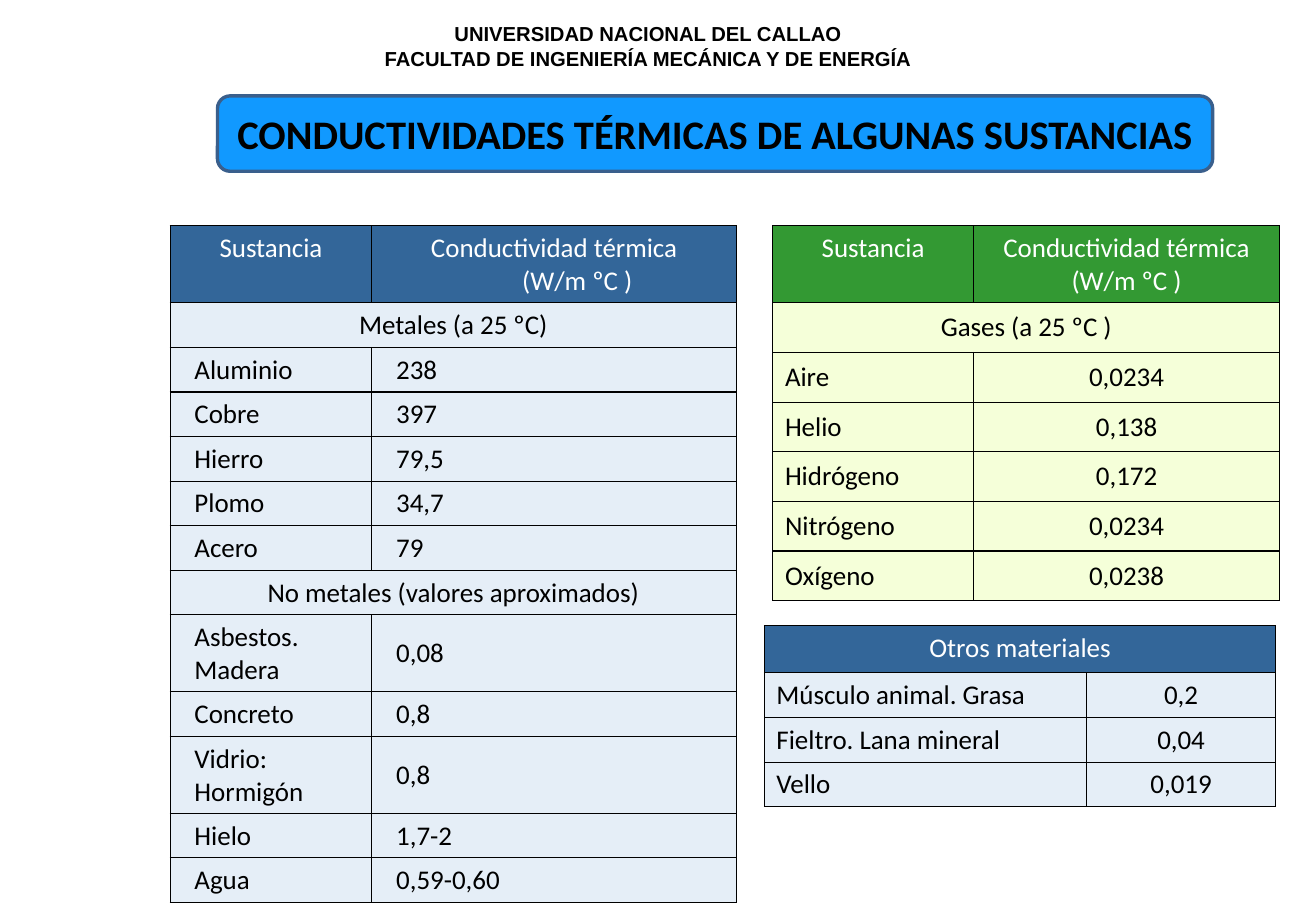
from dataclasses import dataclass

from lxml.etree import SubElement
from pptx import Presentation
from pptx.dml.color import RGBColor
from pptx.enum.shapes import MSO_SHAPE as Shape
from pptx.enum.text import MSO_ANCHOR as Anchor, PP_ALIGN as Align
from pptx.oxml.ns import qn
from pptx.util import Inches, Pt

WIDTH, HEIGHT = Inches(10.83), Inches(7.5)
BLACK = RGBColor(0x00, 0x00, 0x00)
WHITE = RGBColor(0xFF, 0xFF, 0xFF)
BANNER_BLUE = RGBColor(0x11, 0x99, 0xFF)
BANNER_EDGE = RGBColor(0x3A, 0x5F, 0x8C)
BLUE = RGBColor(0x33, 0x66, 0x99)
PALE_BLUE = RGBColor(0xE5, 0xEE, 0xF7)
GREEN = RGBColor(0x33, 0x99, 0x33)
PALE_GREEN = RGBColor(0xF5, 0xFF, 0xD9)

SOLIDS = [
    ("Sustancia", "Conductividad térmica (W/m ºC )"),
    ("Metales (a 25 ºC)",),
    ("Aluminio", "238"),
    ("Cobre", "397"),
    ("Hierro", "79,5"),
    ("Plomo", "34,7"),
    ("Acero", "79"),
    ("No metales (valores aproximados)",),
    ("Asbestos.\nMadera", "0,08"),
    ("Concreto", "0,8"),
    ("Vidrio:\nHormigón", "0,8"),
    ("Hielo", "1,7-2"),
    ("Agua", "0,59-0,60"),
]
GASES = [
    ("Sustancia", "Conductividad térmica\n(W/m ºC )"),
    ("Gases (a 25 ºC )",),
    ("Aire", "0,0234"),
    ("Helio", "0,138"),
    ("Hidrógeno", "0,172"),
    ("Nitrógeno", "0,0234"),
    ("Oxígeno", "0,0238"),
]
OTHERS = [
    ("Otros materiales",),
    ("Músculo animal. Grasa", "0,2"),
    ("Fieltro. Lana mineral", "0,04"),
    ("Vello", "0,019"),
]


@dataclass
class TableStyle:
    """Colours, row heights and text layout of one conductivity table."""
    header_fill: RGBColor
    body_fill: RGBColor
    header_height: float
    row_height: float
    value_align: Align = Align.CENTER
    side_margin: float = 0.92
    hanging: float = 0


def across(percent):
    """Return a percentage of the slide width."""
    return round(WIDTH * percent / 100)


def down(percent):
    """Return a percentage of the slide height."""
    return round(HEIGHT * percent / 100)


def write_text(frame, text, size, color, font="Calibri", bold=False, align=Align.CENTER, hanging=0):
    """Write each line of the text as a paragraph with one run."""
    for index, line in enumerate(text.split("\n")):
        paragraph = frame.add_paragraph() if index else frame.paragraphs[0]
        paragraph.alignment = align
        if hanging:
            properties = paragraph._p.get_or_add_pPr()
            properties.set("marL", str(across(hanging)))
            properties.set("indent", str(-across(hanging)))
        run = paragraph.add_run()
        run.text = line
        run.font.name, run.font.size, run.font.bold = font, Pt(size), bold
        run.font.color.rgb = color


def add_heading(slide, text):
    """Add the university and faculty heading."""
    box = slide.shapes.add_textbox(across(18.74), down(1.73), across(61.03), down(6.67))
    box.text_frame.word_wrap = True
    write_text(box.text_frame, text, 12, BLACK, font="Arial", bold=True)


def add_banner(slide, text):
    """Add the rounded title banner."""
    banner = slide.shapes.add_shape(
        Shape.ROUNDED_RECTANGLE, across(16.53), down(10.53), across(75.62), down(8.27))
    banner.shadow.inherit = False
    banner.fill.solid()
    banner.fill.fore_color.rgb = BANNER_BLUE
    banner.line.color.rgb = BANNER_EDGE
    banner.line.width = Pt(2)
    banner.text_frame.vertical_anchor = Anchor.MIDDLE
    write_text(banner.text_frame, text, 24, BLACK, bold=True)


def paint_cell(cell, fill):
    """Give a cell thin black borders and a solid fill."""
    properties = cell._tc.get_or_add_tcPr()
    for side in ("a:lnL", "a:lnR", "a:lnT", "a:lnB"):
        border = SubElement(properties, qn(side), w=str(Pt(0.75)))
        SubElement(SubElement(border, qn("a:solidFill")), qn("a:srgbClr"), val=str(BLACK))
    cell.fill.solid()
    cell.fill.fore_color.rgb = fill


def add_conductivity_table(slide, left, top, columns, rows, style):
    """Add a table in which a row with a single text spans both columns."""
    heights = [style.header_height if index == 0 or "\n" in row[0] else style.row_height
               for index, row in enumerate(rows)]
    table = slide.shapes.add_table(
        len(rows), len(columns), across(left), down(top),
        across(sum(columns)), down(sum(heights))).table
    table.first_row = table.horz_banding = False
    for column, width in zip(table.columns, columns):
        column.width = across(width)
    for index, (row, height) in enumerate(zip(rows, heights)):
        table.rows[index].height = down(height)
        header, spans = index == 0, len(row) == 1
        for cell in table.rows[index].cells:
            paint_cell(cell, style.header_fill if header else style.body_fill)
        if spans:
            table.cell(index, 0).merge(table.cell(index, 1))
        for position, text in enumerate(row):
            cell = table.cell(index, position)
            cell.margin_left = cell.margin_right = across(style.side_margin)
            cell.vertical_anchor = Anchor.TOP if header else Anchor.MIDDLE
            body_align = style.value_align if position else Align.LEFT
            write_text(cell.text_frame, text, 16, WHITE if header else BLACK,
                       align=Align.CENTER if header or spans else body_align,
                       hanging=style.hanging)


def main():
    """Build and save the thermal conductivity slide."""
    presentation = Presentation()
    presentation.slide_width, presentation.slide_height = WIDTH, HEIGHT
    slide = presentation.slides.add_slide(presentation.slide_layouts[6])
    add_heading(slide, "UNIVERSIDAD NACIONAL DEL CALLAO\n"
                       "FACULTAD DE INGENIERÍA MECÁNICA Y DE ENERGÍA")
    add_banner(slide, "CONDUCTIVIDADES TÉRMICAS DE ALGUNAS SUSTANCIAS")
    add_conductivity_table(
        slide, 12.93, 24.8, (15.33, 27.7), SOLIDS,
        TableStyle(BLUE, PALE_BLUE, 8.27, 4.8, Align.LEFT, side_margin=1.85, hanging=3.51))
    add_conductivity_table(
        slide, 58.73, 24.8, (15.24, 23.27), GASES,
        TableStyle(GREEN, PALE_GREEN, 8.27, 5.45))
    add_conductivity_table(
        slide, 58.08, 68.67, (24.47, 14.4), OTHERS,
        TableStyle(BLUE, PALE_BLUE, 5.2, 4.8, hanging=3.51))
    presentation.save("out.pptx")


if __name__ == "__main__":
    main()
